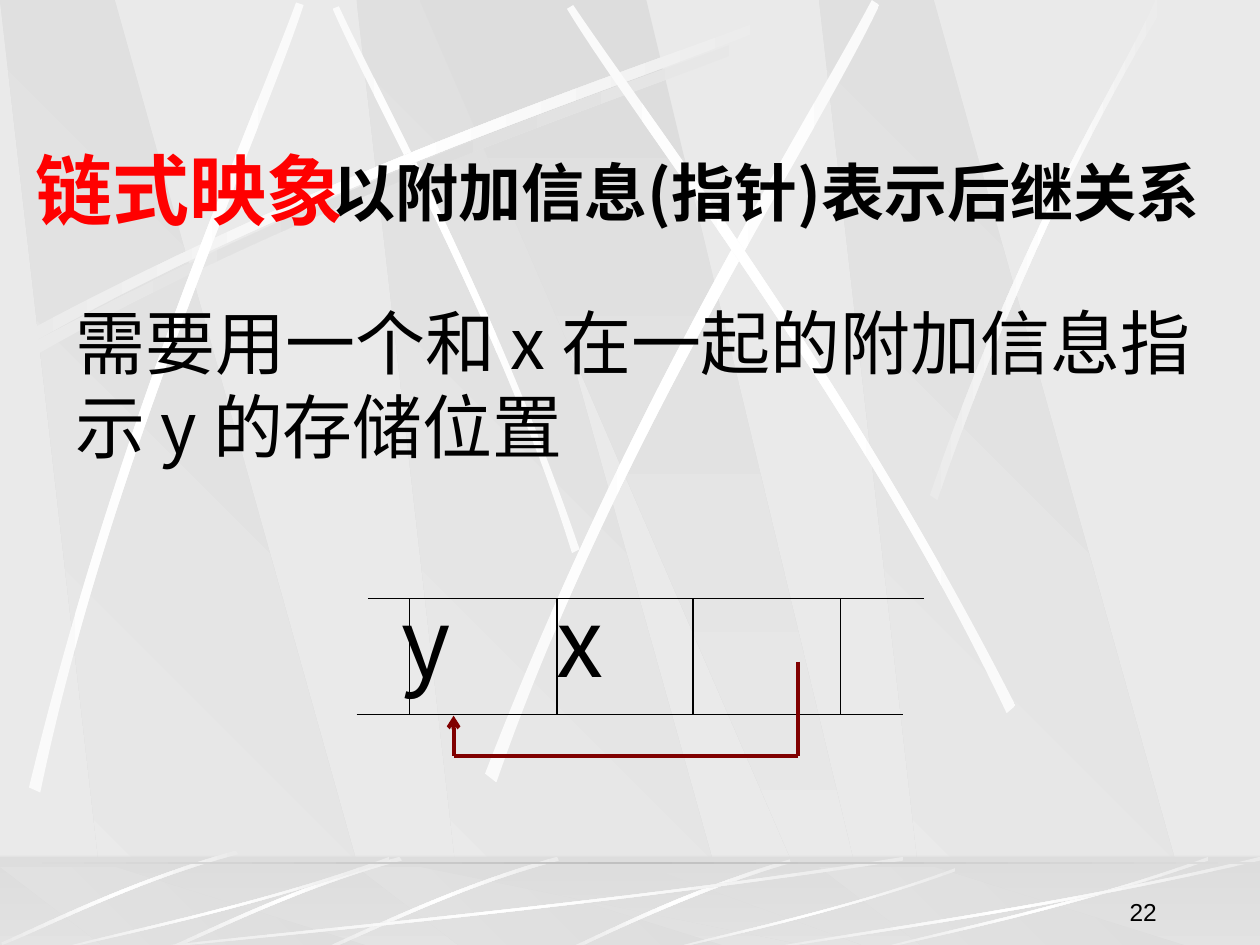
from lxml import etree
from pptx import Presentation
from pptx.dml.color import RGBColor
from pptx.enum.shapes import MSO_CONNECTOR, MSO_SHAPE
from pptx.enum.text import MSO_ANCHOR, MSO_AUTO_SIZE, PP_ALIGN
from pptx.oxml import parse_xml
from pptx.oxml.ns import nsdecls, qn
from pptx.util import Inches, Pt

STRAIGHT = MSO_CONNECTOR.STRAIGHT
RECT = MSO_SHAPE.RECTANGLE
LEFT, RIGHT = PP_ALIGN.LEFT, PP_ALIGN.RIGHT
TOP, BOTTOM = MSO_ANCHOR.TOP, MSO_ANCHOR.BOTTOM


class Theme:
    base, shade, edge = "EAEAEA", "DDDDDD", "C0C0C0"
    white, pale = "FFFFFF", "FAFAFA"
    ink, red, link = "000000", "FF0000", "800000"
    cjk, latin = "Noto Sans CJK SC", "Arial"
    title, lead, body, cell, page = 44, 36, 40, 54, 14
    thin, thick = 0.74, 2.24


T = Theme
FADE = (T.shade, T.base)
GLOW = (T.base, T.white, T.base)
BRIGHT = (T.pale, T.white, T.pale)
DIM = (T.base, T.shade, T.base)
RIM = (T.shade, T.edge, T.shade)

deck = Presentation()
deck.slide_width, deck.slide_height = Inches(10), Inches(7.5)
slide = deck.slides.add_slide(deck.slide_layouts[5])
shapes = slide.shapes
slide.background.fill.solid()
slide.background.fill.fore_color.rgb = RGBColor.from_string(T.base)


def paint(shape, colors, angle):
    """Fill a shape with evenly spaced gradient stops and no outline."""
    shape.shadow.inherit = False
    shape.line.fill.background()
    last = len(colors) - 1
    stops = "".join(
        f'<a:gs pos="{i * 100000 // last}"><a:srgbClr val="{c}"/></a:gs>'
        for i, c in enumerate(colors))
    shape._element.spPr.insert(2, parse_xml(
        f'<a:gradFill {nsdecls("a")} rotWithShape="1"><a:gsLst>{stops}</a:gsLst>'
        f'<a:lin ang="{angle * 60000}" scaled="0"/></a:gradFill>'))


def outline(points, colors, angle, curved=False):
    """Draw a closed outline; curved points are two cubic curves of four."""
    spots = [(Inches(x), Inches(y)) for x, y in points]
    form = shapes.build_freeform(*spots[0])
    form.add_line_segments(spots[1:], close=True)
    shape = form.convert_to_shape()
    if curved:
        legs = list(shape._element.spPr.iter(qn("a:lnTo")))
        for first in (0, 4):
            bend = etree.Element(qn("a:cubicBezTo"))
            legs[first].addprevious(bend)
            for leg in legs[first:first + 3]:
                bend.append(leg[0])
                leg.getparent().remove(leg)
    paint(shape, colors, angle)


# Slanted panels, used on the wall and again on the floor
SHARD = [(0.86, 1), (3.02, 1), (0.91, 0), (0, 0)]
WEDGE = [(3.33, 0), (6.58, 1), (6.94, 1), (5.13, 0)]
PANELS = [(SHARD, 2.83, 135), (SHARD, 0, 135), (SHARD, 6.5, 135), (WEDGE, 0, 90)]

# Light beams on the wall
LONG = [(0.14, 2.67), (2.78, 1.25), (5.18, 0.51), (6.2, 0.1),
        (6.23, 0.16), (5.22, 0.61), (2.48, 1.43), (0.17, 2.77)]
BEAMS = [
    ([(x + 0.06, y + 0.08) for x, y in LONG], DIM),
    ([(4.6, 4.36), (3.91, 2.34), (3.02, 0.77), (2.69, 0.05),
      (2.64, 0.07), (2.95, 0.79), (3.98, 2.58), (4.54, 4.39)], BRIGHT),
    (LONG, GLOW),
    ([(0.23, 6.25), (0.93, 3.34), (1.97, 1.05), (2.35, 0.02),
      (2.41, 0.04), (2.07, 1.08), (0.86, 3.68), (0.32, 6.29)], BRIGHT),
    ([(3.85, 6.14), (4.98, 3.2), (6.38, 1.02), (6.92, 0),
      (6.98, 0.04), (6.49, 1.08), (4.86, 3.55), (3.94, 6.21)], BRIGHT),
    ([(8.06, 5.6), (6.7, 2.93), (5.16, 0.95), (4.55, 0.04),
      (4.5, 0.07), (5.07, 1.01), (6.85, 3.25), (7.99, 5.66)], BRIGHT),
    ([(7.38, 3.93), (8.14, 1.73), (8.88, 0.66), (9.17, 0),
      (9.27, 0), (8.36, 1.45), (7.69, 3.22), (7.44, 3.97)], GLOW),
]

for top, high in ((0, 7.52), (6.88, 0.66)):
    if top:
        floor = shapes.add_shape(RECT, 0, Inches(6.8), Inches(10), Inches(0.75))
        paint(floor, FADE, 90)
    for panel, shift, angle in PANELS:
        outline([(x + shift, top + y * high) for x, y in panel], FADE, angle)
    if not top:
        for points, colors in BEAMS:
            outline(points, colors, 180, curved=True)

# Haze over the floor
haze = shapes.add_shape(RECT, 0, Inches(6.79), Inches(10), Inches(0.75))
haze.shadow.inherit = False
haze.line.fill.background()
haze.fill.solid()
haze.fill.fore_color.rgb = RGBColor.from_string(T.shade)
tint = haze._element.spPr.find(".//" + qn("a:srgbClr"))
etree.SubElement(tint, qn("a:alpha"), val="50000")

# Light rays on the floor
outline([(6.27, 6.82), (5.37, 7.09), (4.77, 7.42), (4.48, 7.54),
         (4.53, 7.55), (4.9, 7.37), (5.71, 7), (6.28, 6.85)], GLOW, 180, True)
SHORT = [(4.42, 6.8), (3.55, 7.05), (2.87, 7.4), (2.56, 7.53),
         (2.57, 7.55), (2.88, 7.43), (3.65, 7.03), (4.44, 6.83)]
for dx, dy in ((0, 0), (-1.25, 0), (-2.55, -0.05)):
    outline([(x + dx, y + dy) for x, y in SHORT], GLOW, 180, True)
RAY = [(1, 0.04), (0.57, 0.57), (0.17, 0.85), (0, 1),
       (0, 0.99), (0.17, 0.81), (0.62, 0.51), (1, 0)]
for left, top, wide in ((1, 6.8, 6.17), (0.42, 6.8, 2.67), (5.27, 6.89, 2.31),
                        (6.92, 6.8, 2.67), (6, 6.8, 4)):
    outline([(left + x * wide, top + y * (7.55 - top)) for x, y in RAY],
            GLOW, 180, True)
rim = shapes.add_shape(RECT, 0, Inches(6.84), Inches(10), Inches(0.02))
paint(rim, RIM, 180)

# Title, lead, body, cell labels and page number
title = shapes.title
shapes._spTree.append(title._element)
TEXTS = [
    (title, "链式映象", (0.18, 1.08, 2.7, 0.84), T.title, T.red, True, True),
    (None, "以附加信息(指针)表示后继关系", (2.54, 1.17, 7.68, 0.7),
     T.lead, T.ink, True, False),
    (None, "需要用一个和 x 在一起的附加信息指示 y 的存储位置",
     (0.5, 2.33, 9.08, 1.44), T.body, T.ink, False, True),
    (None, "y\tx", (3.09, 4.58, 3.36, 1), T.cell, T.ink, False, True),
    (None, "22", (7.2, 6.9, 2.08, 0.5), T.page, T.ink, False, True),
]
for box, words, place, size, color, bold, wrap in TEXTS:
    place = [Inches(v) for v in place]
    box = box or shapes.add_textbox(*place)
    box.left, box.top, box.width, box.height = place
    page = size == T.page
    frame = box.text_frame
    frame.text = words
    frame.word_wrap = wrap
    frame.auto_size = MSO_AUTO_SIZE.NONE
    frame.vertical_anchor = BOTTOM if page else TOP
    para = frame.paragraphs[0]
    para.alignment = RIGHT if page else LEFT
    font = para.font
    font.size, font.bold = Pt(size), bold
    font.color.rgb = RGBColor.from_string(color)
    font.name = T.latin if page else T.cjk
    props = para._p.pPr
    etree.SubElement(props.find(qn("a:defRPr")), qn("a:ea"), typeface=font.name)
    if "\t" in words:
        tabs = etree.Element(qn("a:tabLst"))
        etree.SubElement(tabs, qn("a:tab"), pos=str(Inches(1.23)), algn="l")
        props.insert(0, tabs)

# Storage cells, then the pointer from x back to y
UPPER, LOWER = 4.75, 5.67
cells = [(2.92, UPPER, 7.33, UPPER), (2.83, LOWER, 7.17, LOWER)]
cells += [(x, UPPER, x, LOWER) for x in (3.25, 4.42, 5.5, 6.67)]
links = [(6.33, 5.25, 6.33, 6), (3.6, 6, 6.33, 6), (3.6, 5.68, 3.6, 6)]
for group, color, width in ((cells, T.ink, T.thin), (links, T.link, T.thick)):
    for ends in group:
        line = shapes.add_connector(STRAIGHT, *[Inches(v) for v in ends])
        line.line.color.rgb = RGBColor.from_string(color)
        line.line.width = Pt(width)
        etree.SubElement(line._element.spPr, qn("a:effectLst"))
etree.SubElement(line.line._get_or_add_ln(), qn("a:headEnd"), type="arrow")

deck.save("out.pptx")
